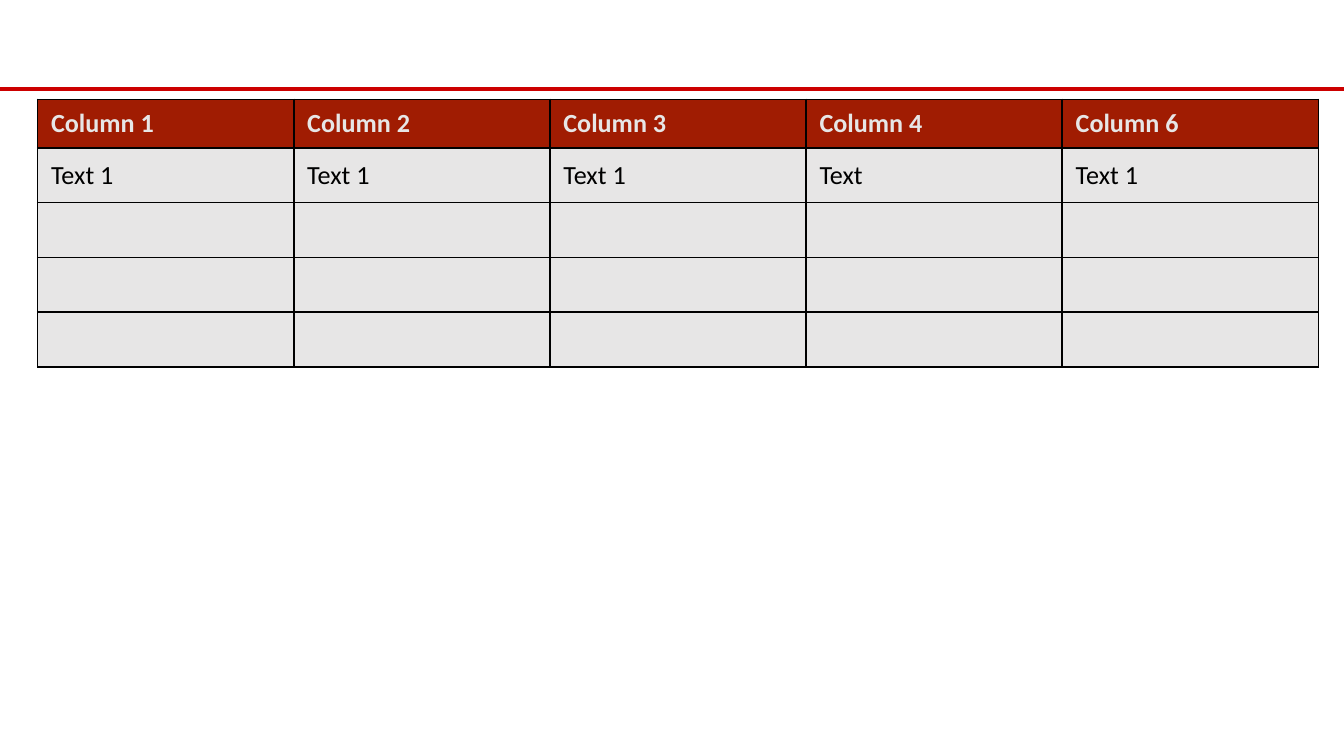
from dataclasses import dataclass

from lxml import etree
from pptx import Presentation
from pptx import util as u
from pptx.dml.color import RGBColor
from pptx.enum import shapes, text
from pptx.oxml.ns import qn

HEADER = ["Column 1", "Column 2", "Column 3", "Column 4", "Column 6"]
BODY = [["Text 1", "Text 1", "Text 1", "Text", "Text 1"]] + [[""] * len(HEADER)] * 3


@dataclass(frozen=True)
class Theme:
    font: str = "Calibri"
    size: float = 14
    rule: str = "CC0000"
    rule_width: float = 2.25
    header: str = "A01C02"
    light: str = "E7E6E6"
    dark: str = "000000"
    border_width: float = 1


THEME = Theme()
WIDTH = 10
HEIGHT = WIDTH * 9 / 16
RULE_Y = 0.66
TABLE_X, TABLE_Y, TABLE_W, TABLE_H = 0.28, 0.74, 9.53, 1.99
HEADER_H = 0.36
ROW_H = (TABLE_H - HEADER_H) / len(BODY)


def write_text(tf, content, color=THEME.dark, bold=False):
    p = tf.paragraphs[0]
    p.font.size = u.Pt(THEME.size)
    if content:
        r = p.add_run()
        r.text = content
        r.font.name = THEME.font
        r.font.size = u.Pt(THEME.size)
        r.font.bold = bold
        r.font.color.rgb = RGBColor.from_string(color)


def set_borders(cell):
    tc_pr = cell._tc.get_or_add_tcPr()
    for i, side in enumerate(("lnL", "lnR", "lnT", "lnB")):
        ln = etree.Element(qn(f"a:{side}"), w=str(u.Pt(THEME.border_width)))
        fill = etree.SubElement(ln, qn("a:solidFill"))
        etree.SubElement(fill, qn("a:srgbClr"), val=THEME.dark)
        tc_pr.insert(i, ln)


def add_rule(s):
    y = u.Inches(RULE_Y)
    line = s.shapes.add_connector(
        shapes.MSO_CONNECTOR.STRAIGHT, 0, y, u.Inches(WIDTH), y)
    line.line.color.rgb = RGBColor.from_string(THEME.rule)
    line.line.width = u.Pt(THEME.rule_width)
    etree.SubElement(line._element.spPr, qn("a:effectLst"))


def add_grid(s):
    rows = [HEADER] + BODY
    table = s.shapes.add_table(
        len(rows), len(HEADER), u.Inches(TABLE_X), u.Inches(TABLE_Y),
        u.Inches(TABLE_W), u.Inches(TABLE_H)).table
    for i, row in enumerate(rows):
        is_header = i == 0
        table.rows[i].height = u.Inches(HEADER_H if is_header else ROW_H)
        for j, content in enumerate(row):
            cell = table.cell(i, j)
            cell.vertical_anchor = text.MSO_ANCHOR.MIDDLE
            cell.fill.solid()
            cell.fill.fore_color.rgb = RGBColor.from_string(
                THEME.header if is_header else THEME.light)
            set_borders(cell)
            write_text(cell.text_frame, content, bold=is_header,
                       color=THEME.light if is_header else THEME.dark)


def main():
    prs = Presentation()
    prs.slide_width, prs.slide_height = u.Inches(WIDTH), u.Inches(HEIGHT)
    s = prs.slides.add_slide(prs.slide_layouts[6])
    add_rule(s)
    add_grid(s)
    prs.save("out.pptx")


if __name__ == "__main__":
    main()
